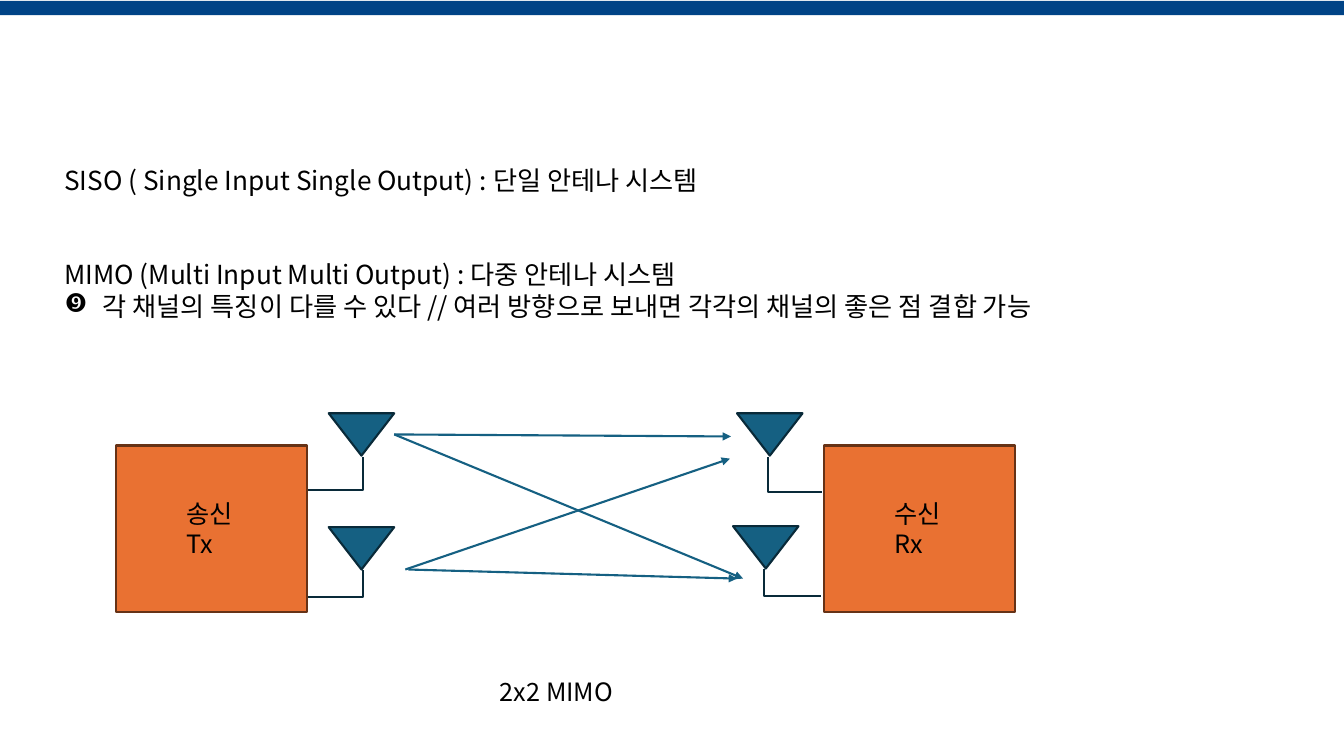
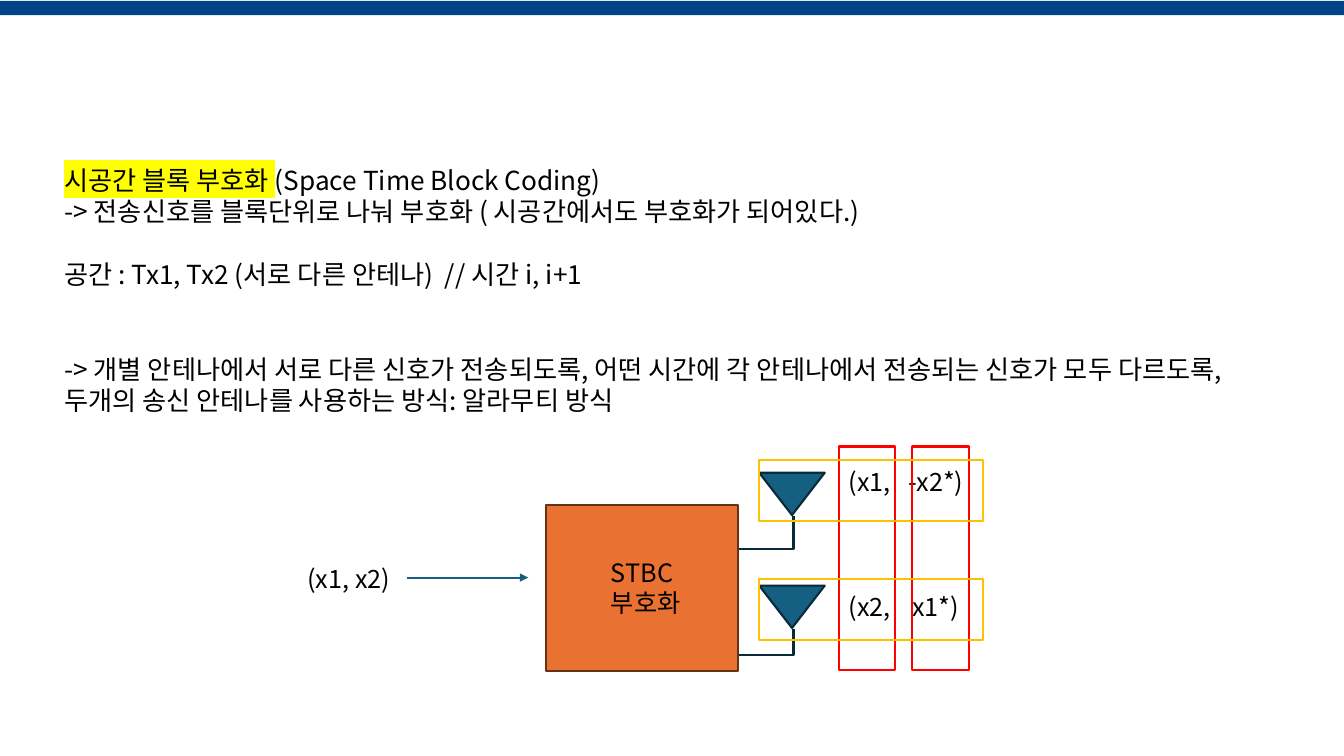
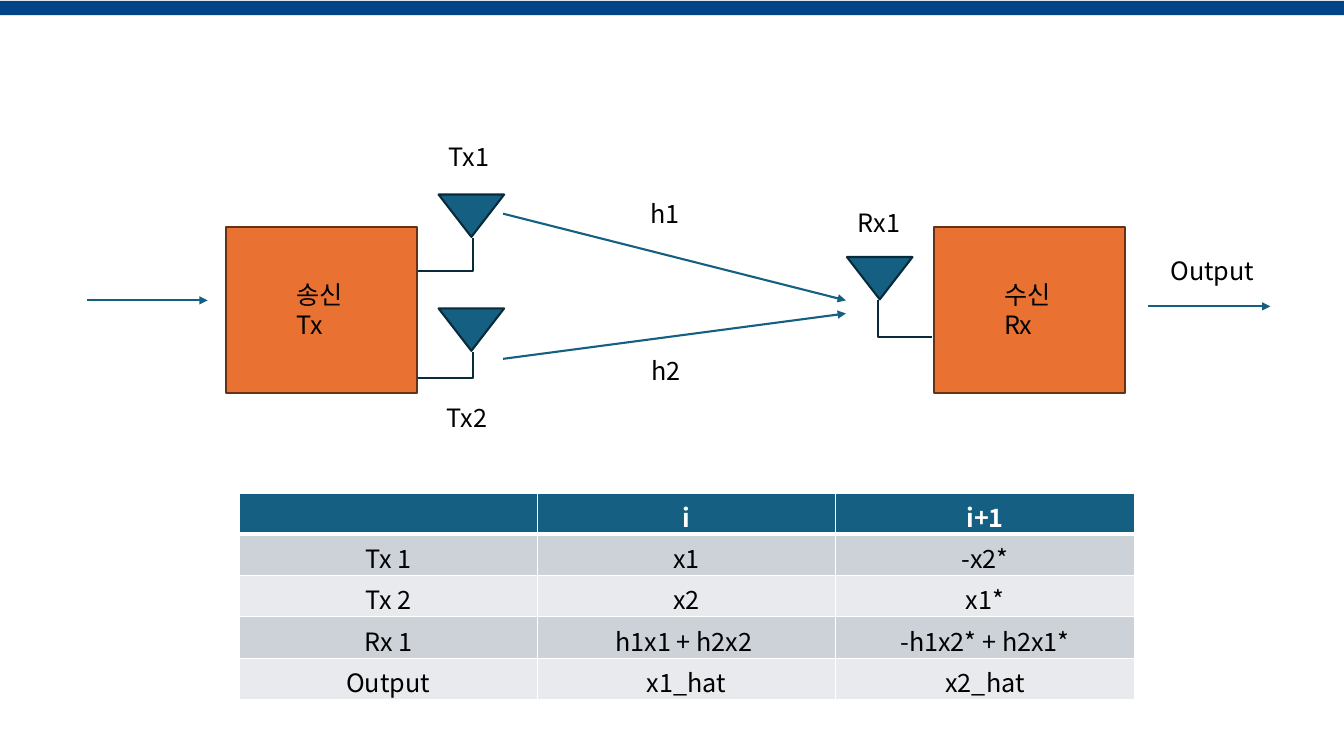
from lxml import etree
from pptx import Presentation
from pptx.dml.color import RGBColor
from pptx.enum.shapes import MSO_CONNECTOR, MSO_SHAPE
from pptx.enum.text import MSO_ANCHOR, PP_ALIGN
from pptx.oxml.ns import qn
from pptx.util import Inches, Pt

RECTANGLE = MSO_SHAPE.RECTANGLE
TRIANGLE = MSO_SHAPE.ISOSCELES_TRIANGLE
STRAIGHT = MSO_CONNECTOR.STRAIGHT
TOP = MSO_ANCHOR.TOP
LEFT, CENTER = PP_ALIGN.LEFT, PP_ALIGN.CENTER

FONT = "Noto Sans CJK KR"
BODY_SIZE, LABEL_SIZE = 18.7, 18
BODY_LINE = 22.5
COLORS = {
    "band": "004386", "block": "E97132", "block_line": "663216",
    "antenna": "156082", "antenna_line": "092A39", "text": "000000",
    "white": "FFFFFF", "time": "FF0000", "space": "FFC000",
    "row_dark": "CCD2D8", "row_light": "E8EAED", "highlight": "FFFF00",
}
RGB = {name: RGBColor.from_string(value) for name, value in COLORS.items()}


def write_text(frame, lines, size=LABEL_SIZE, color="text", align=LEFT):
    frame.word_wrap = True
    frame.vertical_anchor = TOP
    for index, line in enumerate(lines):
        paragraph = frame.paragraphs[0] if index == 0 else frame.add_paragraph()
        paragraph.add_run().text = line
        paragraph.alignment = align
        paragraph.font.name = FONT
        paragraph.font.size = Pt(size)
        paragraph.font.color.rgb = RGB[color]
        defaults = paragraph._p.get_or_add_pPr().find(qn("a:defRPr"))
        etree.SubElement(defaults, qn("a:ea"), typeface=FONT)


def add_shape(slide, kind, box, fill=None, line=None):
    shape = slide.shapes.add_shape(kind, *map(Inches, box))
    shape.shadow.inherit = False
    if fill:
        shape.fill.solid()
        shape.fill.fore_color.rgb = RGB[fill]
    else:
        shape.fill.background()
    if line:
        shape.line.color.rgb = RGB[line]
        shape.line.width = Pt(1.5)
    else:
        shape.line.fill.background()
    return shape


presentation = Presentation()
presentation.slide_width = Inches(13.33)
presentation.slide_height = Inches(7.5)
blank_layout = presentation.slide_layouts[6]

# Slides with the shared top band
slides = [presentation.slides.add_slide(blank_layout) for _ in range(3)]
for slide in slides:
    add_shape(slide, RECTANGLE, (0, 0.01, 13.33, 0.14), "band")
mimo, coding, channel = slides

# Body texts: (blank lines before, text)
bodies = [
    (mimo, 3.56, [
        (0, "SISO ( Single Input Single Output) : 단일 안테나 시스템"),
        (2, "MIMO (Multi Input Multi Output) : 다중 안테나 시스템"),
        (0, "각 채널의 특징이 다를 수 있다 // 여러 방향으로 보내면 각각의 채널의 좋은 점 결합 가능"),
    ]),
    (coding, 3.87, [
        (0, "시공간 블록 부호화 "),
        (0, "-> 전송신호를 블록단위로 나눠 부호화 ( 시공간에서도 부호화가 되어있다.)"),
        (1, "공간 : Tx1, Tx2 (서로 다른 안테나)  // 시간 i, i+1"),
        (2, "-> 개별 안테나에서 서로 다른 신호가 전송되도록, 어떤 시간에 각 안테나에서 전송되는 "
            "신호가 모두 다르도록, 두개의 송신 안테나를 사용하는 방식: 알라무티 방식"),
    ]),
]
body_frames = []
for slide, height, lines in bodies:
    frame = slide.shapes.add_textbox(*map(Inches, (0.54, 1.58, 12.3, height))).text_frame
    write_text(frame, [text for _, text in lines], BODY_SIZE)
    for paragraph, (gap, _) in zip(frame.paragraphs, lines):
        paragraph.space_before = Pt(gap * BODY_LINE)
    body_frames.append(frame)

# Arrow bullet on the last MIMO line
bullet_properties = body_frames[0].paragraphs[-1]._p.get_or_add_pPr()
bullet_properties.set("marL", str(Inches(0.38)))
bullet_properties.set("indent", str(-Inches(0.38)))
bullet_defaults = bullet_properties.find(qn("a:defRPr"))
bullet_defaults.addprevious(etree.Element(qn("a:buFont"), typeface="Wingdings"))
bullet_defaults.addprevious(etree.Element(qn("a:buChar"), char="➔"))

# Highlighted term in the coding heading
heading = body_frames[1].paragraphs[0]
highlight = etree.SubElement(heading.runs[0]._r.get_or_add_rPr(), qn("a:highlight"))
etree.SubElement(highlight, qn("a:srgbClr"), val=COLORS["highlight"])
heading.add_run().text = "(Space Time Block Coding)"

# Transmitter, receiver and coder blocks
blocks = [
    (mimo, 1.15, 4.42, ["송신", "Tx"]),
    (mimo, 8.17, 4.42, ["수신", "Rx"]),
    (coding, 5.42, 5.01, ["STBC", "부호화"]),
    (channel, 2.24, 2.25, ["송신", "Tx"]),
    (channel, 9.26, 2.25, ["수신", "Rx"]),
]
for slide, left, top, lines in blocks:
    block = add_shape(slide, RECTANGLE, (left, top, 1.9, 1.65), "block", "block_line")
    write_text(block.text_frame, lines)
    block.text_frame.margin_left = Inches(0.64 if slide is coding else 0.7)
    block.text_frame.margin_top = Inches(0.52)

# Antennas with their feed lines: left, top, feed end, feed depth
antennas = [
    (mimo, 3.26, 4.1, 3.06, 0.76),
    (mimo, 3.26, 5.23, 3.06, 0.69),
    (mimo, 7.31, 4.1, 8.15, 0.78),
    (mimo, 7.27, 5.22, 8.14, 0.69),
    (coding, 7.53, 4.69, 7.33, 0.76),
    (coding, 7.53, 5.81, 7.33, 0.69),
    (channel, 4.35, 1.93, 4.15, 0.76),
    (channel, 4.35, 3.06, 4.15, 0.69),
    (channel, 8.4, 2.55, 9.24, 0.79),
]
for slide, left, top, feed_end, depth in antennas:
    antenna = add_shape(slide, TRIANGLE, (left, top, 0.65, 0.42), "antenna", "antenna_line")
    antenna.rotation = 180
    mast = Inches(left + (0.34 if feed_end < left else 0.31))
    feed = Inches(top + depth)
    builder = slide.shapes.build_freeform(Inches(feed_end), feed)
    builder.add_line_segments([(mast, feed), (mast, Inches(top + 0.43))], close=False)
    feed_line = builder.convert_to_shape()
    feed_line.shadow.inherit = False
    feed_line.fill.background()
    feed_line.line.color.rgb = RGB["antenna_line"]
    feed_line.line.width = Pt(1.5)

# Signal arrows: start x, start y, end x, end y
arrows = [
    (mimo, 3.91, 4.31, 7.25, 4.33),
    (mimo, 3.91, 4.31, 7.37, 5.74),
    (mimo, 4.02, 5.65, 7.24, 4.55),
    (mimo, 4.05, 5.65, 7.31, 5.74),
    (coding, 4.04, 5.73, 5.24, 5.73),
    (channel, 4.99, 2.12, 8.39, 2.98),
    (channel, 4.99, 3.56, 8.39, 3.11),
    (channel, 0.86, 2.98, 2.06, 2.98),
    (channel, 11.39, 3.04, 12.6, 3.04),
]
for slide, *ends in arrows:
    arrow = slide.shapes.add_connector(STRAIGHT, *map(Inches, ends))
    arrow.line.color.rgb = RGB["antenna"]
    arrow.line.width = Pt(1.5)
    properties = arrow._element.spPr
    etree.SubElement(properties.find(qn("a:ln")), qn("a:tailEnd"), type="triangle")
    etree.SubElement(properties, qn("a:effectLst"))

# Labels; a tab separates the two time slots of a signal
labels = [
    (mimo, 4.86, 6.66, 1.65, "2x2 MIMO"),
    (coding, 2.95, 5.54, 1.75, "(x1, x2)"),
    (coding, 8.32, 4.58, 2.22, "(x1,\t-x2*)"),
    (coding, 8.32, 5.82, 2.22, "(x2,\tx1*)"),
    (channel, 6.35, 1.92, 1.51, "h1"),
    (channel, 6.36, 3.48, 1.51, "h2"),
    (channel, 4.35, 1.35, 0.65, "Tx1"),
    (channel, 4.33, 3.94, 0.65, "Tx2"),
    (channel, 8.41, 2.01, 0.65, "Rx1"),
    (channel, 11.51, 2.48, 1.12, "Output"),
]
for slide, left, top, width, text in labels:
    label = slide.shapes.add_textbox(*map(Inches, (left, top, width, 0.4)))
    write_text(label.text_frame, [text])
    if "\t" in text:
        stop = Inches(0.59 if "-" in text else 0.63)
        tabs = etree.Element(qn("a:tabLst"))
        etree.SubElement(tabs, qn("a:tab"), pos=str(stop), algn="l")
        label_properties = label.text_frame.paragraphs[0]._p.get_or_add_pPr()
        label_properties.find(qn("a:defRPr")).addprevious(tabs)

# Frames around time slots and around antennas
for left in (8.32, 9.05):
    add_shape(coding, RECTANGLE, (left, 4.43, 0.56, 2.22), line="time")
for top in (4.56, 5.74):
    add_shape(coding, RECTANGLE, (7.53, top, 2.22, 0.61), line="space")

# Signal table
rows = [
    ["", "i", "i+1"],
    ["Tx 1", "x1", "-x2*"],
    ["Tx 2", "x2", "x1*"],
    ["Rx 1", "h1x1 + h2x2 ", "-h1x2* + h2x1*"],
    ["Output", "x1_hat", "x2_hat"],
]
table = channel.shapes.add_table(
    len(rows), 3, *map(Inches, (2.37, 4.89, 8.89, 2.03))).table
for column in table.columns:
    column.width = Inches(2.96)
for row_index, texts in enumerate(rows):
    header = row_index == 0
    fill = "antenna" if header else "row_dark" if row_index % 2 else "row_light"
    table.rows[row_index].height = Inches(0.41)
    for column_index, text in enumerate(texts):
        cell = table.cell(row_index, column_index)
        cell.fill.solid()
        cell.fill.fore_color.rgb = RGB[fill]
        if text:
            write_text(cell.text_frame, [text], color="white" if header else "text",
                       align=CENTER)
            cell.text_frame.paragraphs[0].font.bold = header
        # Heavy rule under the header
        if header:
            border = etree.Element(qn("a:lnB"), w=str(Pt(3)))
            border_fill = etree.SubElement(border, qn("a:solidFill"))
            etree.SubElement(border_fill, qn("a:srgbClr"), val=COLORS["white"])
            cell._tc.get_or_add_tcPr().insert(0, border)

presentation.save("out.pptx")
